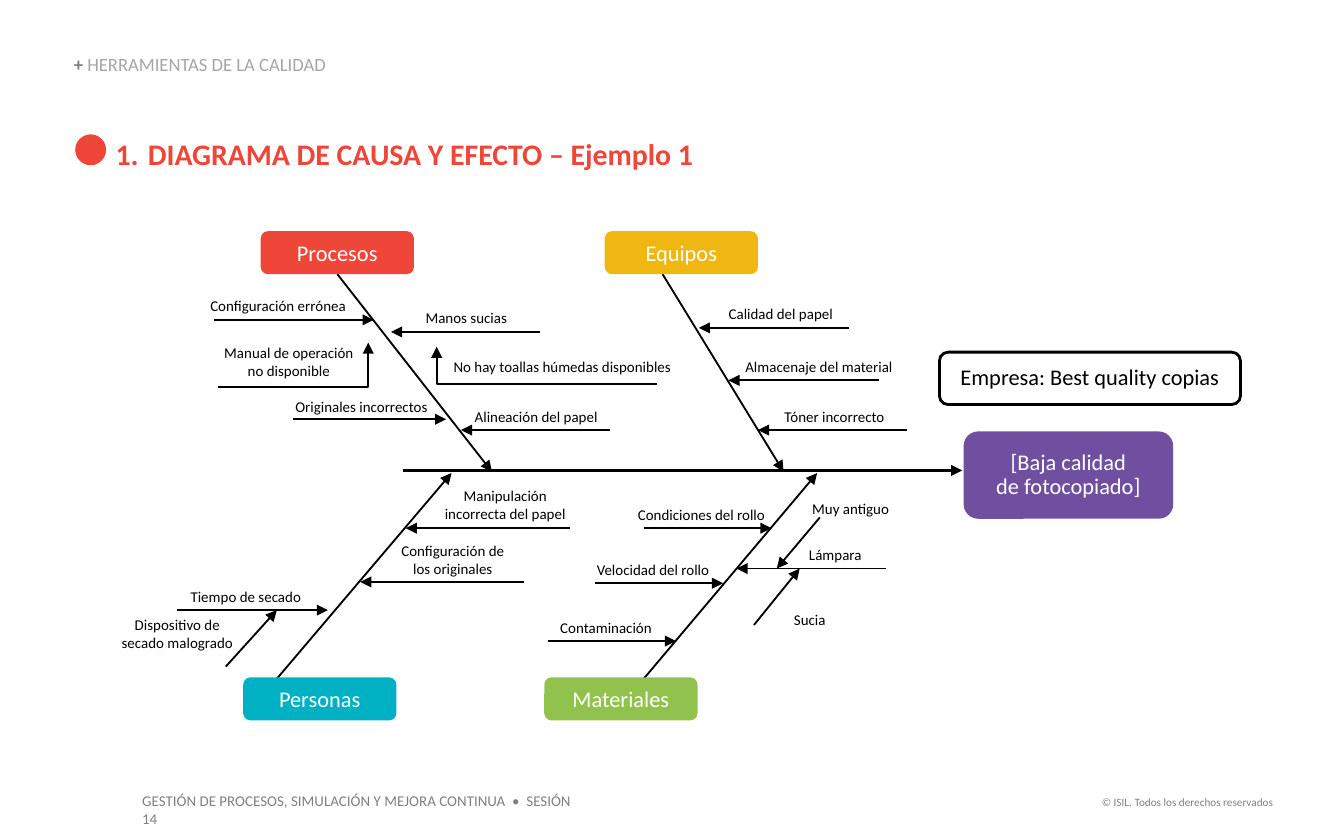
from lxml.etree import SubElement
from pptx import Presentation
from pptx.dml.color import RGBColor
from pptx.enum.shapes import MSO_CONNECTOR, MSO_SHAPE
from pptx.enum.text import MSO_ANCHOR, MSO_AUTO_SIZE, PP_ALIGN
from pptx.oxml.ns import qn
from pptx.util import Inches, Pt

COLORS = {
    "red": "EE4639", "yellow": "F0B712", "purple": "714FA0",
    "green": "92C24E", "teal": "00B1C3", "black": "000000",
    "white": "FFFFFF", "gray": "808080", "light_gray": "A6A6A6",
}
HEAD_SIZE = (1.14, 0.32)

# Each branch: name, color, box origin, head position, spine, causes.
# Each cause: text, label box, arrow start, arrow end, bent or not.
BRANCHES = [
    ("Procesos", "red", (1.5, 1.72), (0.44, 0), ((1.01, 0.32), (2.16, 1.79)), [
        ("Configuración errónea", (0.01, 0.49, 1.12, 0.14), (0.09, 0.66), (1.28, 0.66), False),
        ("Manos sucias", (1.41, 0.58, 1.12, 0.14), (2.52, 0.75), (1.41, 0.75), False),
        ("Manual de operación no disponible", (0.13, 0.84, 1.04, 0.27), (0.12, 1.16), (1.24, 0.83), True),
        ("No hay toallas húmedas disponibles", (1.83, 0.94, 1.71, 0.14), (3.39, 1.14), (1.75, 0.86), True),
        ("Originales incorrectos", (0.63, 1.24, 1.12, 0.14), (0.68, 1.4), (1.82, 1.4), False),
        ("Alineación del papel", (1.93, 1.31, 1.12, 0.14), (3.04, 1.48), (1.93, 1.48), False),
    ]),
    ("Equipos", "yellow", (4.5, 1.72), (0, 0), ((0.43, 0.32), (1.33, 1.79)), [
        ("Calidad del papel", (0.8, 0.55, 1.02, 0.14), (1.82, 0.72), (0.7, 0.72), False),
        ("Almacenaje del material", (1.01, 0.94, 1.17, 0.14), (2.04, 1.11), (0.92, 1.11), False),
        ("Tóner incorrecto", (1.23, 1.31, 0.96, 0.14), (2.25, 1.48), (1.14, 1.48), False),
    ]),
    ("Personas", "teal", (0.84, 3.5), (0.97, 1.54), ((1.22, 1.55), (2.52, 0.02)), [
        ("Manipulación incorrecta del papel", (2.44, 0.12, 0.96, 0.27), (3.4, 0.43), (2.18, 0.43), False),
        ("Configuración de\nlos originales", (2.05, 0.53, 0.96, 0.27), (3.06, 0.83), (1.84, 0.83), False),
        ("Tiempo de secado", (0.51, 0.87, 0.96, 0.14), (0.48, 1.04), (1.6, 1.04), False),
        ("Dispositivo de secado malogrado", (0, 1.08, 0.96, 0.27), (0.84, 1.46), (1.22, 1.04), False),
    ]),
    ("Materiales", "green", (4.03, 3.5), (0.02, 1.54), ((0.76, 1.55), (2.05, 0.02)), [
        ("Condiciones del rollo", (0.71, 0.26, 0.96, 0.14), (0.76, 0.43), (1.71, 0.43), False),
        ("Velocidad del rollo", (0.35, 0.67, 0.96, 0.14), (0.4, 0.84), (1.35, 0.84), False),
        ("Contaminación", (0, 1.1, 0.96, 0.14), (0.05, 1.27), (1, 1.27), False),
        ("Lámpara", (1.81, 0.56, 0.75, 0.14), (2.56, 0.73), (1.45, 0.73), False),
        ("Muy antiguo", (1.82, 0.22, 0.96, 0.14), (2.07, 0.35), (1.75, 0.73), False),
        ("Sucia", (1.62, 1.04, 0.75, 0.14), (1.58, 1.15), (1.92, 0.73), False),
    ]),
]


def rgb(name):
    return RGBColor.from_string(COLORS[name])


def add_text(para, text, size=8, color="black", bold=False, align=PP_ALIGN.CENTER, spacing=None):
    para.alignment = align
    if spacing:
        para.line_spacing = spacing
    for number, line in enumerate(text.split("\n")):
        if number:
            para.add_line_break()
        span = para.add_run()
        span.text = line
        span.font.name = "Calibri"
        span.font.size = Pt(size)
        span.font.bold = bold
        span.font.color.rgb = rgb(color)


def set_frame(frame, anchor=MSO_ANCHOR.TOP, inset=0):
    frame.word_wrap = True
    frame.auto_size = MSO_AUTO_SIZE.NONE
    frame.vertical_anchor = anchor
    frame.margin_left = frame.margin_right = Inches(inset)
    frame.margin_top = frame.margin_bottom = Inches(inset / 2)
    return frame.paragraphs[0]


def add_label(page, box, anchor=MSO_ANCHOR.TOP, inset=0):
    label = page.shapes.add_textbox(*map(Inches, box))
    return set_frame(label.text_frame, anchor, inset)


def add_block(page, box, kind, fill=None, outline=None):
    block = page.shapes.add_shape(kind, *map(Inches, box))
    block.shadow.inherit = False
    if fill:
        block.fill.solid()
        block.fill.fore_color.rgb = rgb(fill)
    else:
        block.fill.background()
    if outline:
        block.line.color.rgb = rgb(outline)
        block.line.width = Pt(1.5)
    else:
        block.line.fill.background()
    return set_frame(block.text_frame, MSO_ANCHOR.MIDDLE, 0.1)


def add_arrow(page, start, end, width=1, bent=False):
    kind = MSO_CONNECTOR.ELBOW if bent else MSO_CONNECTOR.STRAIGHT
    arrow = page.shapes.add_connector(kind, *map(Inches, (*start, *end)))
    arrow.line.color.rgb = rgb("black")
    arrow.line.width = Pt(width)
    SubElement(arrow.line._get_or_add_ln(), qn("a:tailEnd"), type="triangle")
    properties = arrow._element.spPr
    SubElement(properties, qn("a:effectLst"))
    if bent:  # turn only at the far end
        guides = properties.find(qn("a:prstGeom")).get_or_add_avLst()
        SubElement(guides, qn("a:gd"), name="adj1", fmla="val 100000")


def draw_heading(page, box):
    left, top, width, height = box
    para = add_label(page, (left, top, 2.66, 0.15), MSO_ANCHOR.BOTTOM)
    add_text(para, "+ ", size=10, color="gray", bold=True, align=PP_ALIGN.LEFT, spacing=0.9)
    add_text(para, "HERRAMIENTAS DE LA CALIDAD", size=10, color="light_gray", align=PP_ALIGN.LEFT, spacing=0.9)

    # Numbered title with its dot
    title = page.shapes.title
    title.left, title.top = Inches(left + 0.31), Inches(top + 0.6)
    title.width, title.height = Inches(width - 0.31), Inches(0.27)
    para = set_frame(title.text_frame)
    indent = Inches(0.24)
    properties = para._p.get_or_add_pPr()
    properties.set("marL", str(indent))
    properties.set("indent", str(-indent))
    SubElement(properties, qn("a:buFont"), typeface="+mj-lt")
    SubElement(properties, qn("a:buAutoNum"), type="arabicPeriod")
    add_text(para, "DIAGRAMA DE CAUSA Y EFECTO – Ejemplo 1", size=16, color="red", bold=True, align=PP_ALIGN.LEFT)
    add_block(page, (left + 0.01, top + 0.59, 0.23, 0.23), MSO_SHAPE.OVAL, fill="red")


def draw_branch(page, origin, name, color, head, spine, causes):
    def place(point):
        return origin[0] + point[0], origin[1] + point[1]

    add_arrow(page, place(spine[0]), place(spine[1]))
    para = add_block(page, (*place(head), *HEAD_SIZE), MSO_SHAPE.ROUNDED_RECTANGLE, fill=color)
    add_text(para, name, size=12, color="white")
    for text, label, start, end, bent in causes:
        add_arrow(page, place(start), place(end), bent=bent)
        add_text(add_label(page, (*place(label[:2]), *label[2:])), text)


def draw_effect(page, box):
    left, top, width, height = box
    middle = top + 0.88
    add_arrow(page, (left, middle), (left + 4.16, middle), width=1.5)
    para = add_block(page, (left + 3.99, top, 2.24, 0.39), MSO_SHAPE.ROUNDED_RECTANGLE, outline="black")
    add_text(para, "Empresa: Best quality copias", size=12, spacing=0.9)
    para = add_block(page, (left + 4.17, top + 0.59, 1.56, 0.65), MSO_SHAPE.ROUNDED_RECTANGLE, fill="purple")
    add_text(para, "[Baja calidad\nde fotocopiado]", size=12, color="white", spacing=0.9)


def draw_footer(page, box):
    left, top, width, height = box
    para = add_label(page, (left, top, 3.53, height), inset=0.1)
    add_text(para, "GESTIÓN DE PROCESOS, SIMULACIÓN Y MEJORA CONTINUA  •  SESIÓN 14", color="gray", align=PP_ALIGN.LEFT)
    para = add_label(page, (left + width - 1.7, top + 0.03, 1.7, 0.2), inset=0.1)
    add_text(para, "© ISIL. Todos los derechos reservados", size=6, color="gray", align=PP_ALIGN.RIGHT)


def main():
    deck = Presentation()
    deck.slide_width, deck.slide_height = Inches(10), Inches(6.25)
    page = deck.slides.add_slide(deck.slide_layouts[5])
    draw_heading(page, (0.55, 0.41, 5.23, 0.87))
    draw_effect(page, (3, 2.62, 6.23, 1.24))
    for name, color, origin, head, spine, causes in BRANCHES:
        draw_branch(page, origin, name, color, head, spine, causes)
    draw_footer(page, (0.96, 5.84, 8.61, 0.24))
    deck.save("out.pptx")


if __name__ == "__main__":
    main()
